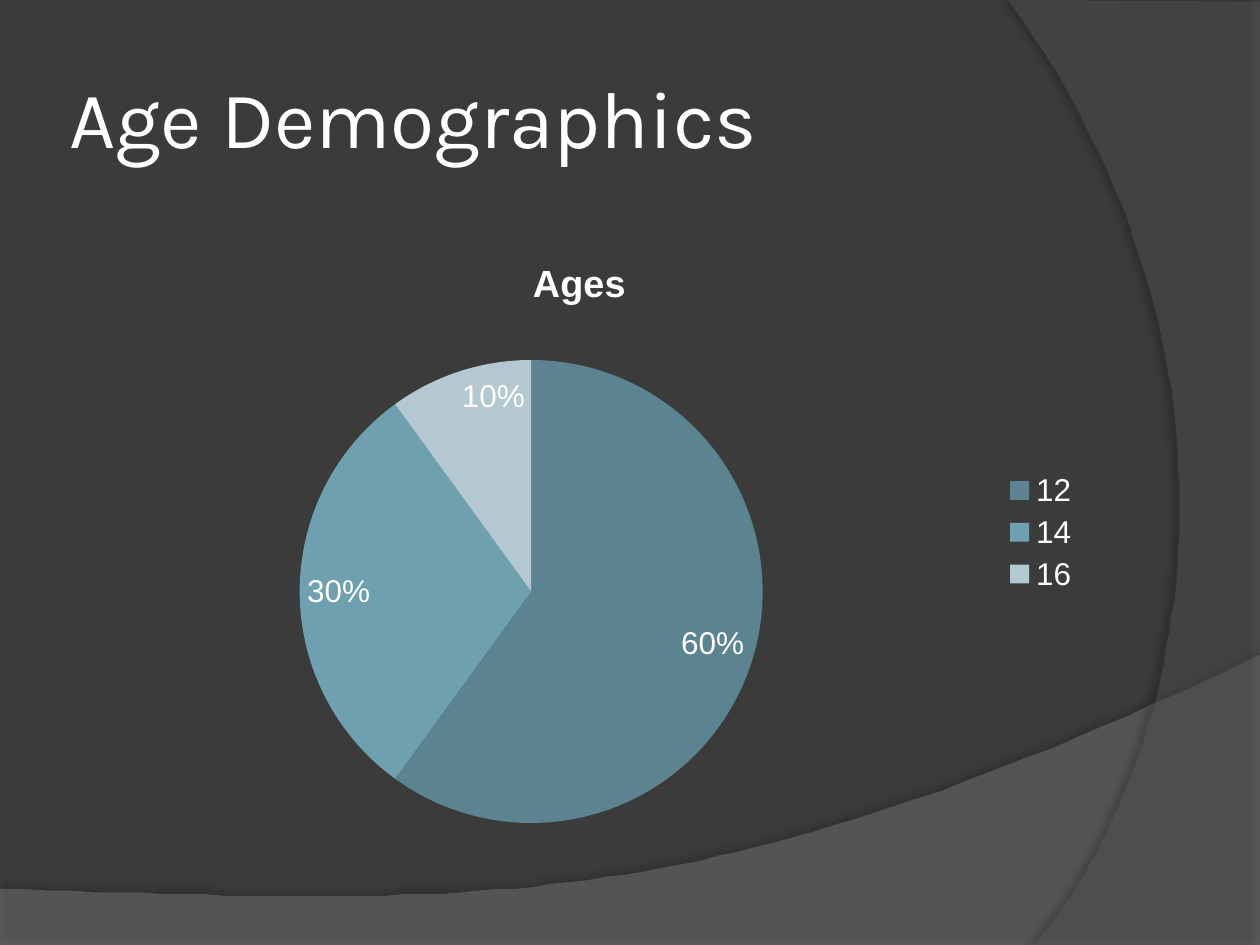
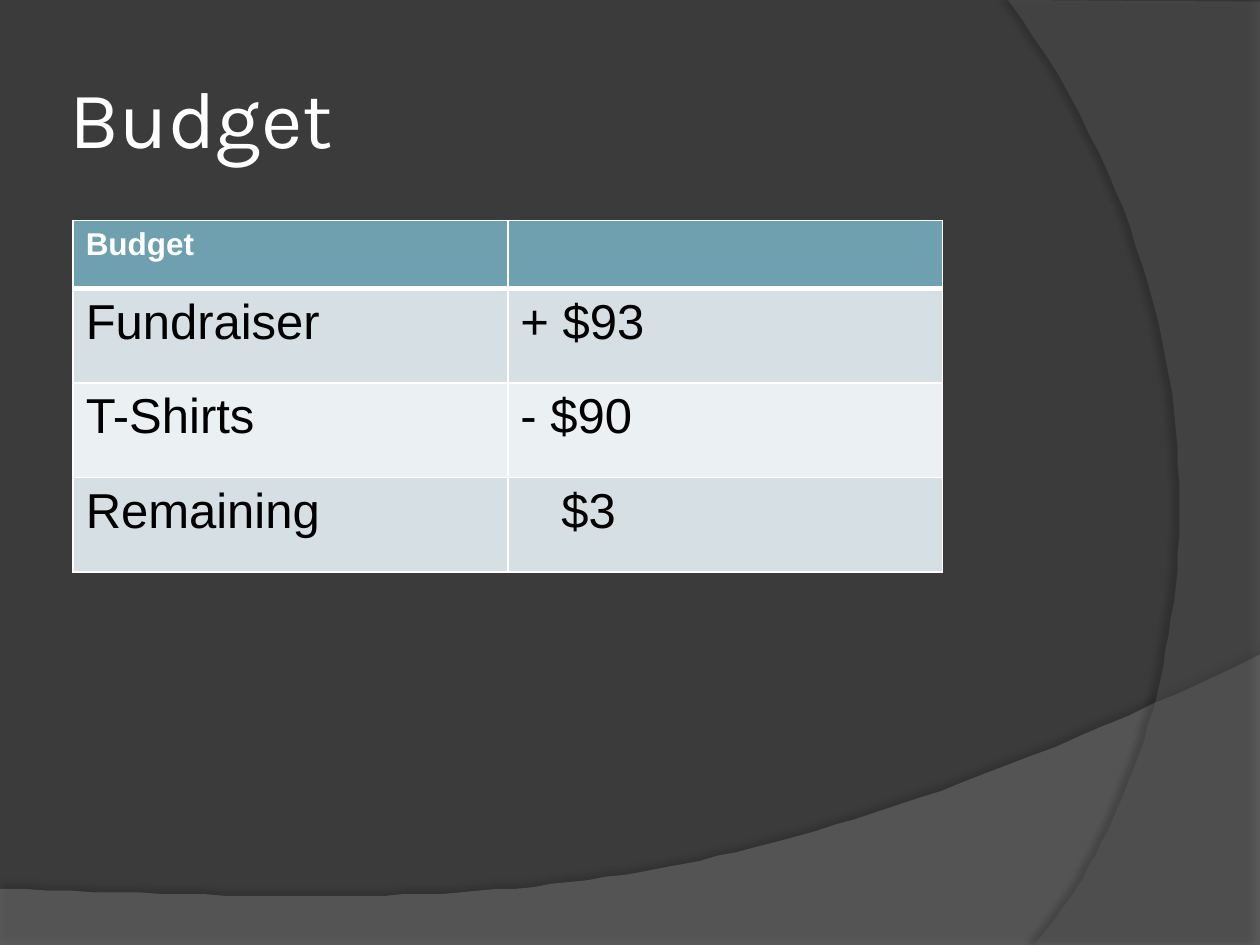
from lxml import etree
from pptx import Presentation
from pptx.chart.data import CategoryChartData
from pptx.dml.color import RGBColor
from pptx.enum.chart import XL_CHART_TYPE, XL_LABEL_POSITION, XL_LEGEND_POSITION
from pptx.enum.text import MSO_ANCHOR
from pptx.oxml.ns import qn
from pptx.util import Pt

PIE = XL_CHART_TYPE.PIE
INSIDE_END = XL_LABEL_POSITION.INSIDE_END
LEGEND_RIGHT = XL_LEGEND_POSITION.RIGHT
MIDDLE = MSO_ANCHOR.MIDDLE

WHITE = RGBColor(0xFF, 0xFF, 0xFF)
BLACK = RGBColor(0x00, 0x00, 0x00)
CHARCOAL = RGBColor(0x3B, 0x3B, 0x3B)
WAVE_GRAY = RGBColor(0x7F, 0x7F, 0x7F)
ARC_GRAY = RGBColor(0x5E, 0x5E, 0x5E)
TEAL_DARK = RGBColor(0x5B, 0x84, 0x90)
TEAL = RGBColor(0x6E, 0xA0, 0xB0)
TEAL_LIGHT = RGBColor(0xB4, 0xC8, 0xD1)
ROW_TINTS = (RGBColor(0xD5, 0xDF, 0xE4), RGBColor(0xEB, 0xF0, 0xF2))

WIDTH, HEIGHT = 720, 540
TITLE_FONT, BODY_FONT = "Karla", "Arial"
TITLE_SIZE, BODY_SIZE, TABLE_SIZE = 46, 18, 28
CELL_MARGIN = 7.2


def bezier(start, control1, control2, end, steps=60):
    """Return the points of a cubic curve, both ends included."""
    points = []
    for step in range(steps + 1):
        t = step / steps
        weights = ((1 - t) ** 3, 3 * t * (1 - t) ** 2, 3 * t * t * (1 - t), t ** 3)
        points.append(tuple(
            sum(w * p[axis] for w, p in zip(weights, (start, control1, control2, end)))
            for axis in (0, 1)))
    return points


def add_color(parent, color, alpha=100):
    fill = etree.SubElement(parent, qn("a:solidFill"))
    rgb = etree.SubElement(fill, qn("a:srgbClr"), val=str(color))
    etree.SubElement(rgb, qn("a:alpha"), val=str(alpha * 1000))


def manual_layout(inner=False, **fractions):
    """Build a chart layout element from fractions of the chart area."""
    layout = etree.Element(qn("c:layout"))
    manual = etree.SubElement(layout, qn("c:manualLayout"))
    if inner:
        etree.SubElement(manual, qn("c:layoutTarget"), val="inner")
    for mode in ("xMode", "yMode"):
        etree.SubElement(manual, qn(f"c:{mode}"), val="edge")
    for name, value in fractions.items():
        etree.SubElement(manual, qn(f"c:{name}"), val=str(value))
    return layout


def drop_layout(element):
    for layout in element.findall(qn("c:layout")):
        element.remove(layout)


class Deck:
    """Holds the shared style and the slide being built."""

    def __init__(self):
        self.prs = Presentation()
        self.prs.slide_width, self.prs.slide_height = Pt(WIDTH), Pt(HEIGHT)
        background = self.prs.slide_master.background.fill
        background.solid()
        background.fore_color.rgb = CHARCOAL
        self.slide = None

    def new_slide(self, title):
        self.slide = self.prs.slides.add_slide(self.prs.slide_layouts[6])
        wave = bezier((WIDTH, 374.4), (402.5, 524.9), (281.5, 517.7), (0, 507.6))
        self.band([(0, HEIGHT), (WIDTH, HEIGHT)] + wave, WAVE_GRAY, 45,
                  shadow_alpha=35, distance=3.5, angle=270)
        arc = bezier((591, HEIGHT), (673.2, 445.7), (733, 216), (576, 0))
        self.band([(WIDTH, 1.4), (WIDTH, HEIGHT)] + arc, ARC_GRAY, 40,
                  shadow_alpha=45, distance=4, angle=180)
        self.title(title)

    def band(self, outline, color, alpha, shadow_alpha, distance, angle):
        builder = self.slide.shapes.build_freeform(*outline[0], scale=Pt(1))
        builder.add_line_segments(outline[1:], close=True)
        band = builder.convert_to_shape()
        band.line.fill.background()
        band.fill.solid()
        band.fill.fore_color.rgb = color
        rgb = band.fill._xPr.find(f"{qn('a:solidFill')}/{qn('a:srgbClr')}")
        etree.SubElement(rgb, qn("a:alpha"), val=str(alpha * 1000))
        band.shadow.inherit = False
        effects = band._element.spPr.find(qn("a:effectLst"))
        shadow = etree.SubElement(
            effects, qn("a:outerShdw"), blurRad=str(Pt(4)), dist=str(Pt(distance)),
            dir=str(angle * 60000), algn="ctr", rotWithShape="0")
        rgb = etree.SubElement(shadow, qn("a:srgbClr"), val=str(BLACK))
        etree.SubElement(rgb, qn("a:alpha"), val=str(shadow_alpha * 1000))

    def title(self, text):
        box = self.slide.shapes.add_textbox(Pt(36), Pt(21.6), Pt(588), Pt(90))
        frame = box.text_frame
        frame.word_wrap = True
        frame.vertical_anchor = MIDDLE
        frame.margin_left = frame.margin_right = Pt(3.6)
        frame.margin_top = frame.margin_bottom = Pt(3.6)
        frame.text = text
        self.style(frame.paragraphs[0].runs[0].font, TITLE_SIZE, WHITE, name=TITLE_FONT)

    def style(self, font, size, color, bold=False, name=BODY_FONT):
        font.name, font.size, font.bold = name, Pt(size), bold
        font.color.rgb = color

    def pie(self, title, shares, colors):
        data = CategoryChartData()
        data.categories = list(shares)
        data.add_series(title, list(shares.values()))
        chart = self.slide.shapes.add_chart(
            PIE, Pt(36), Pt(126), Pt(588), Pt(356.4), data).chart
        self.style(chart.font, BODY_SIZE, WHITE)

        chart.has_title = True
        heading = chart.chart_title
        heading.include_in_layout = False
        heading.text_frame.text = title
        self.style(heading.text_frame.paragraphs[0].runs[0].font, 21.6, WHITE, bold=True)
        drop_layout(heading._element)
        heading._element.find(qn("c:tx")).addnext(manual_layout(x=0.45, y=0.05))

        chart.has_legend = True
        chart.legend.position = LEGEND_RIGHT
        chart.legend.include_in_layout = False

        plot = chart.plots[0]
        plot.vary_by_categories = True
        for index, color in enumerate(colors):
            slice_fill = plot.series[0].points[index].format.fill
            slice_fill.solid()
            slice_fill.fore_color.rgb = color
        plot.has_data_labels = True
        labels = plot.data_labels
        labels.show_percentage, labels.show_value = True, False
        labels.number_format, labels.number_format_is_linked = "0%", False
        labels.position = INSIDE_END
        self.style(labels.font, BODY_SIZE, WHITE)
        plot_area = chart._chartSpace.find(f"{qn('c:chart')}/{qn('c:plotArea')}")
        drop_layout(plot_area)
        plot_area.insert(0, manual_layout(inner=True, x=0.23, y=0.22, w=0.45, h=0.75))

    def table(self, rows, column_width, header_height, row_height):
        columns = len(rows[0])
        height = header_height + row_height * (len(rows) - 1)
        table = self.slide.shapes.add_table(
            len(rows), columns, Pt(41.8), Pt(126), Pt(column_width * columns), Pt(height)).table
        for column in table.columns:
            column.width = Pt(column_width)
        for r, texts in enumerate(rows):
            table.rows[r].height = Pt(row_height if r else header_height)
            for c, text in enumerate(texts):
                cell = table.cell(r, c)
                cell.fill.solid()
                cell.fill.fore_color.rgb = ROW_TINTS[(r - 1) % 2] if r else TEAL
                self.borders(cell, top=3 if r == 1 else 1, bottom=1 if r else 3)
                cell.text = text
                for run in cell.text_frame.paragraphs[0].runs:
                    if r:
                        self.style(run.font, TABLE_SIZE, BLACK)
                    else:
                        self.style(run.font, BODY_SIZE, WHITE, bold=True)
        return table

    def borders(self, cell, top, bottom):
        properties = cell._tc.get_or_add_tcPr()
        widths = {"lnL": 1, "lnR": 1, "lnT": top, "lnB": bottom}
        for index, (side, width) in enumerate(widths.items()):
            line = etree.Element(qn(f"a:{side}"), w=str(Pt(width)))
            add_color(line, WHITE)
            properties.insert(index, line)


def main():
    deck = Deck()

    deck.new_slide("Age Demographics")
    deck.pie("Ages", {"12": 60, "14": 30, "16": 10}, (TEAL_DARK, TEAL, TEAL_LIGHT))

    deck.new_slide("Budget")
    budget = deck.table(
        [("Budget", ""),
         ("Fundraiser", "+ $93"),
         ("T-Shirts", "- $90"),
         ("Remaining", "$3")],
        column_width=248.4, header_height=39, row_height=54)
    # Lines the unsigned amount up with the signed ones above it
    budget.cell(3, 1).margin_left = Pt(CELL_MARGIN + 23.4)

    deck.prs.save("out.pptx")


if __name__ == "__main__":
    main()
